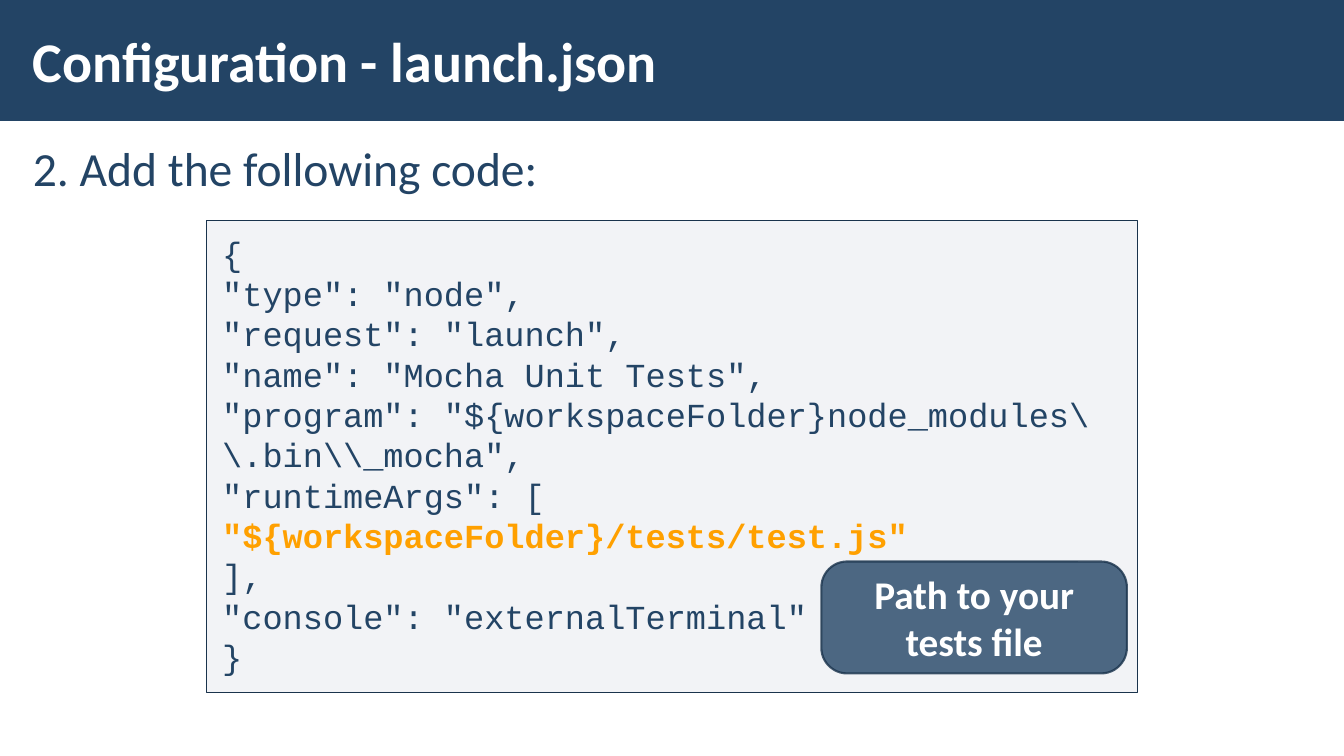
from pptx import Presentation
from pptx import util as u
from pptx.dml.color import RGBColor
from pptx.enum import shapes, text
from pptx.oxml.ns import qn
from lxml import etree

# Content
TITLE = "Configuration - launch.json"
STEP = "2. Add the following code:"
CODE = [
    '{',
    '"type": "node",',
    '"request": "launch",',
    '"name": "Mocha Unit Tests",',
    r'"program": "${workspaceFolder}node_modules\\.bin\\_mocha",',
    '"runtimeArgs": [',
    '"${workspaceFolder}/tests/test.js"',
    '],',
    '"console": "externalTerminal"',
    '}',
]
TESTS_LINE = 6
CALLOUT = "Path to your tests file"

# Colours and layout (cm)
NAVY = RGBColor(0x23, 0x44, 0x65)
DARK = RGBColor(0x1A, 0x33, 0x4C)
GREY = RGBColor(0xAD, 0xB4, 0xC3)
ORANGE = RGBColor(0xFF, 0xA0, 0x00)
WHITE = RGBColor(0xFF, 0xFF, 0xFF)
SLIDE_W, SLIDE_H = 33.87, 19.05
MARGIN = 0.53
BAR_H = 3.05
CODE_W, CODE_H, CODE_TOP = 23.47, 11.89, 5.56


def set_alpha(fill, percent):
    colour = fill._xPr.find(qn("a:solidFill"))[0]
    etree.SubElement(colour, qn("a:alpha"), val=str(percent * 1000))


def add_box(page, kind, left, top, width, height, fill, alpha=100,
            line=None, line_width=1, line_alpha=100):
    box = page.shapes.add_shape(kind, u.Cm(left), u.Cm(top), u.Cm(width), u.Cm(height))
    box.shadow.inherit = False
    box.fill.solid()
    box.fill.fore_color.rgb = fill
    set_alpha(box.fill, alpha)
    if line is None:
        box.line.fill.background()
    else:
        box.line.color.rgb = line
        box.line.width = u.Pt(line_width)
        set_alpha(box.line.fill, line_alpha)
    return box


def write(box, lines, size, font="Calibri", colour=NAVY, bold=False, accents=(),
          align=text.PP_ALIGN.LEFT, anchor=text.MSO_ANCHOR.TOP,
          inset=(0.3, 0.1), spacing=1.0, gap=0):
    frame = box.text_frame
    frame.word_wrap = True
    frame.auto_size = text.MSO_AUTO_SIZE.NONE
    frame.vertical_anchor = anchor
    frame.margin_left = frame.margin_right = u.Cm(inset[0])
    frame.margin_top = frame.margin_bottom = u.Cm(inset[1])
    for index, line in enumerate(lines):
        para = frame.paragraphs[0] if index == 0 else frame.add_paragraph()
        para.alignment = align
        para.line_spacing = spacing
        para.space_before = para.space_after = u.Pt(gap)
        span = para.add_run()
        span.text = line
        span.font.name = font
        span.font.size = u.Pt(size)
        span.font.bold = bold or index in accents
        span.font.color.rgb = ORANGE if index in accents else colour


def main():
    deck = Presentation()
    deck.slide_width, deck.slide_height = u.Cm(SLIDE_W), u.Cm(SLIDE_H)
    page = deck.slides.add_slide(deck.slide_layouts[5])

    # Title on its bar, with the bar sent to the back
    bar = add_box(page, shapes.MSO_SHAPE.RECTANGLE, 0, 0, SLIDE_W, BAR_H, NAVY)
    page.shapes._spTree.insert(2, bar._element)
    title = page.shapes.title
    title.left, title.top = u.Cm(MARGIN), u.Cm(0.28)
    title.width, title.height = u.Cm(26.42), u.Cm(2.46)
    write(title, [TITLE], 40, colour=WHITE, bold=True, anchor=text.MSO_ANCHOR.MIDDLE)

    # Step
    step = page.shapes.add_textbox(u.Cm(MARGIN), u.Cm(3.33),
                                   u.Cm(SLIDE_W - 2 * MARGIN), u.Cm(14.45))
    write(step, [STEP], 34, spacing=1.05, gap=6)

    # Code panel, centred across the slide
    panel = add_box(page, shapes.MSO_SHAPE.RECTANGLE, (SLIDE_W - CODE_W) / 2, CODE_TOP,
                    CODE_W, CODE_H, GREY, alpha=15, line=DARK)
    write(panel, CODE, 24, font="Courier New", accents=(TESTS_LINE,), inset=(0.4, 0.3))

    # Callout for the tests line
    callout = add_box(page, shapes.MSO_SHAPE.ROUNDED_RECTANGLE, 20.7, 14.15, 7.7, 2.82,
                      NAVY, alpha=80, line=DARK, line_width=1.5, line_alpha=80)
    callout.adjustments[0] = 0.23
    write(callout, [CALLOUT], 28, colour=WHITE, bold=True, inset=(0.25, 0.13),
          align=text.PP_ALIGN.CENTER, anchor=text.MSO_ANCHOR.MIDDLE)

    deck.save("out.pptx")


if __name__ == "__main__":
    main()
